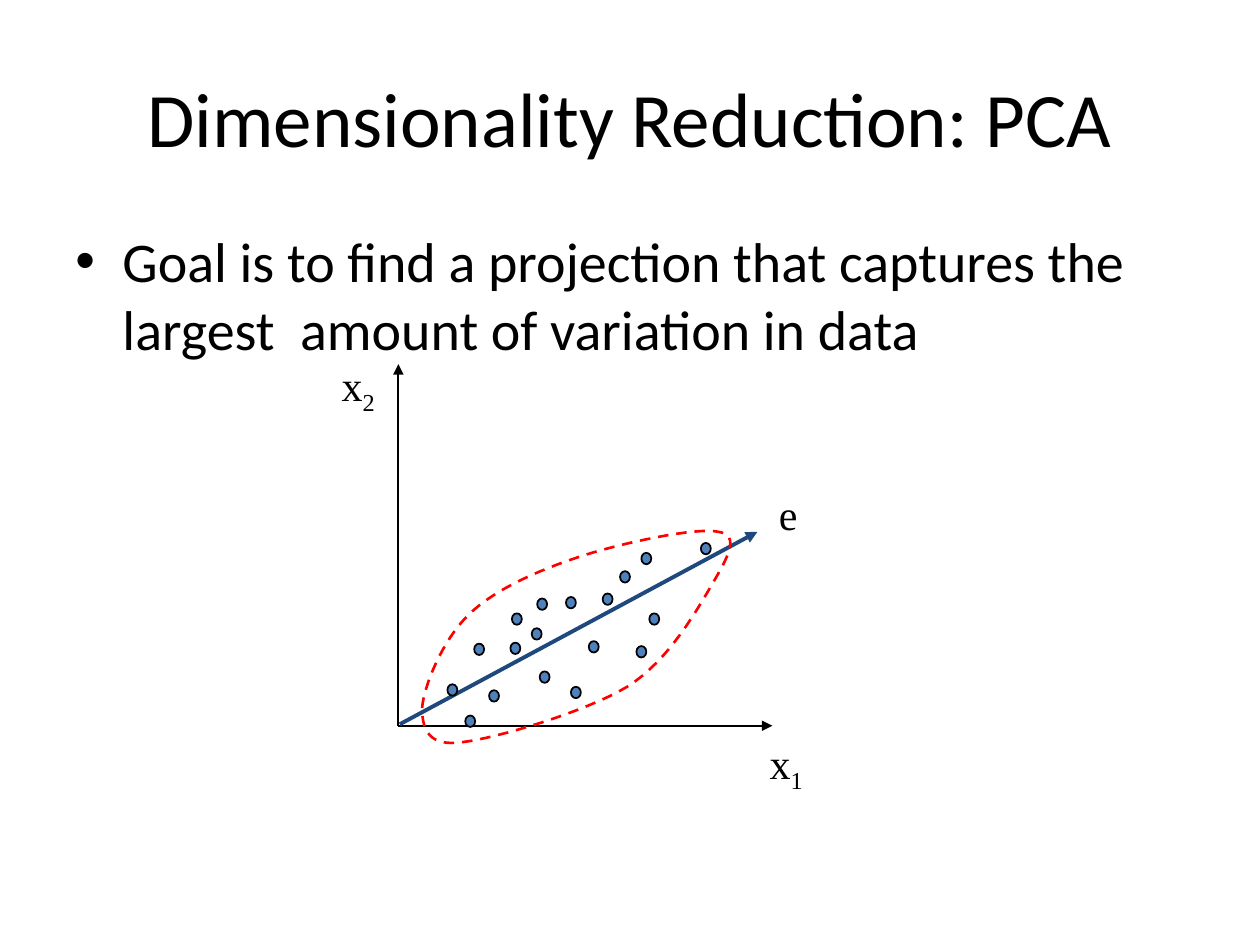
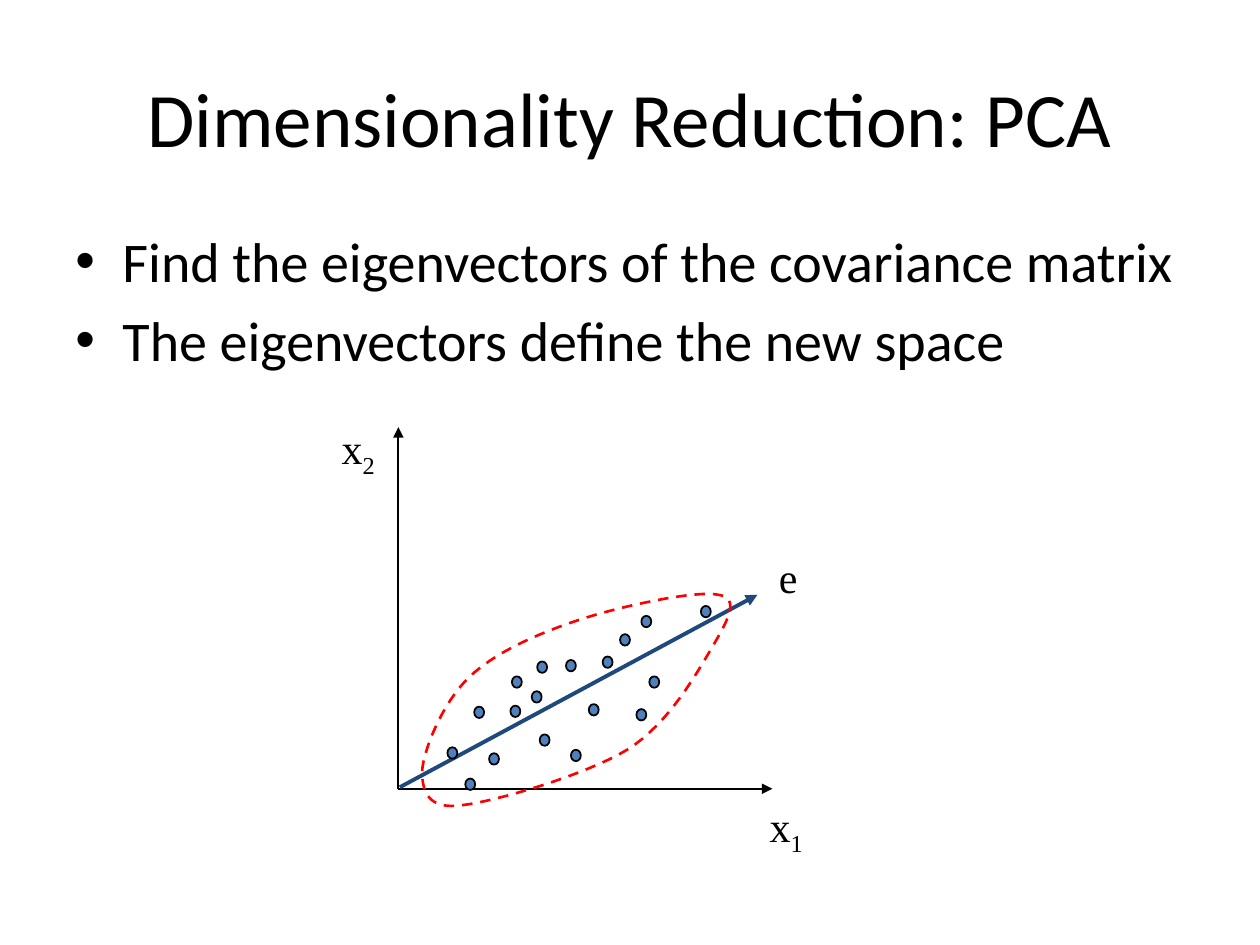
from lxml.etree import SubElement
from pptx import Presentation
from pptx.dml.color import RGBColor
from pptx.enum.dml import MSO_LINE_DASH_STYLE as Dash
from pptx.enum.shapes import MSO_CONNECTOR as Connector, MSO_SHAPE as Shape
from pptx.enum.text import MSO_ANCHOR as Anchor, PP_ALIGN as Align
from pptx.oxml.ns import qn
from pptx.util import Cm, Pt

TITLE = "Dimensionality Reduction: PCA"
SLIDES = [
    {"bullets": ["Goal is to find a projection that captures the largest  amount of variation in data"],
     "origin": (8.03, 14.63)},
    {"bullets": ["Find the eigenvectors of the covariance matrix",
                 "The eigenvectors define the new space"],
     "origin": (8.03, 15.9)},
]

BLACK, NAVY, BLUE, RED = "000000", "1F497D", "4F81BD", "FF0000"
HEADING_FONT, LABEL_FONT = "Calibri", "Times New Roman"

# Chart positions are centimetres right of and above the axis origin.
ARROWS = [
    ((0, 0), (0, 7.29), BLACK, 1),
    ((0, 0), (7.54, 0), BLACK, 1),
    ((0.03, 0.03), (7.24, 3.91), NAVY, 2.25),
]
POINTS = [
    (1.63, 1.54), (2.39, 2.15), (1.09, 0.72), (2.79, 1.85), (2.36, 1.56), (3.94, 1.59),
    (3.58, 0.67), (2.95, 0.98), (3.48, 2.48), (5.16, 2.15), (6.2, 3.57), (1.93, 0.6),
    (4.22, 2.55), (5, 3.37), (2.9, 2.45), (4.57, 3), (4.9, 1.49), (1.45, 0.09),
]
POINT_WIDTH, POINT_HEIGHT = 0.2, 0.23
CLOUD_START = (0.48, 0.36)
CLOUD_CURVES = [
    ((0.51, 0.79), (0.89, 1.73), (1.42, 2.24)),
    ((1.93, 2.74), (2.79, 3.12), (3.63, 3.4)),
    ((4.47, 3.68), (6.02, 4.01), (6.45, 3.91)),
    ((6.91, 3.84), (6.63, 3.38), (6.32, 2.84)),
    ((6.02, 2.34), (5.46, 1.32), (4.62, 0.79)),
    ((3.78, 0.28), (1.98, -0.25), (1.3, -0.33)),
    ((0.61, -0.43), (0.48, -0.08), CLOUD_START),
]
CURVE_STEPS = 16
LABELS = [
    ("x", "2", (-0.81, 6.81), 1.22),
    ("x", "1", (7.82, -0.81), 1.22),
    ("e", "", (7.86, 4.27), 0.89),
]
LABEL_HEIGHT = 1.27


def color(value):
    return RGBColor.from_string(value)


def set_line(shape, value, width):
    shape.line.color.rgb = color(value)
    shape.line.width = Pt(width)


def format_span(span, size, font):
    span.font.size = Pt(size)
    span.font.name = font
    span.font.color.rgb = color(BLACK)


def add_box(page, left, top, width, height, wrap=True):
    box = page.shapes.add_textbox(Cm(left), Cm(top), Cm(width), Cm(height))
    box.text_frame.word_wrap = wrap
    return box.text_frame


def add_title(page):
    frame = add_box(page, 1.27, 0.76, 22.86, 3.18)
    frame.vertical_anchor = Anchor.MIDDLE
    frame.text = TITLE
    para = frame.paragraphs[0]
    para.alignment = Align.CENTER
    format_span(para.runs[0], 44, HEADING_FONT)


def add_bullets(page, bullets):
    frame = add_box(page, 1.27, 4.45, 22.86, 12.57)
    frame.text = "\n".join(bullets)
    for para in frame.paragraphs:
        para.space_before = Pt(6.4)
        format_span(para.runs[0], 32, HEADING_FONT)
        properties = para._p.get_or_add_pPr()
        properties.set("marL", str(Cm(0.95)))
        properties.set("indent", str(-Cm(0.95)))
        SubElement(properties, qn("a:buFont"), typeface="Arial")
        SubElement(properties, qn("a:buChar"), char="•")


def add_arrow(page, start, end, value, width):
    arrow = page.shapes.add_connector(
        Connector.STRAIGHT, *[Cm(length) for length in (*start, *end)])
    set_line(arrow, value, width)
    SubElement(arrow.line._get_or_add_ln(), qn("a:tailEnd"), type="triangle")
    SubElement(arrow._element.spPr, qn("a:effectLst"))


def add_point(page, center):
    x, y = center
    point = page.shapes.add_shape(
        Shape.OVAL, Cm(x - POINT_WIDTH / 2), Cm(y - POINT_HEIGHT / 2),
        Cm(POINT_WIDTH), Cm(POINT_HEIGHT))
    point.shadow.inherit = False
    point.fill.solid()
    point.fill.fore_color.rgb = color(BLUE)
    set_line(point, BLACK, 1)


def curve_point(corners, t):
    weights = ((1 - t) ** 3, 3 * t * (1 - t) ** 2, 3 * t ** 2 * (1 - t), t ** 3)
    return tuple(sum(weight * length for weight, length in zip(weights, lengths))
                 for lengths in zip(*corners))


def cloud_outline():
    outline = [CLOUD_START]
    for curve in CLOUD_CURVES:
        corners = (outline[-1], *curve)
        outline += [curve_point(corners, step / CURVE_STEPS)
                    for step in range(1, CURVE_STEPS + 1)]
    return outline


def add_cloud(page, place):
    start, *others = [tuple(Cm(length) for length in place(spot)) for spot in cloud_outline()]
    builder = page.shapes.build_freeform(*start)
    builder.add_line_segments(others, close=True)
    cloud = builder.convert_to_shape()
    cloud.shadow.inherit = False
    cloud.fill.background()
    set_line(cloud, RED, 1.5)
    cloud.line.dash_style = Dash.DASH


def add_label(page, name, index, center, width):
    x, y = center
    frame = add_box(page, x - width / 2, y - LABEL_HEIGHT / 2, width, LABEL_HEIGHT, wrap=False)
    frame.vertical_anchor = Anchor.MIDDLE
    frame.text = name
    para = frame.paragraphs[0]
    para.alignment = Align.CENTER
    if index:
        span = para.add_run()
        span.text = index
        span.font._element.set("baseline", "-25000")
    for span in para.runs:
        format_span(span, 24, LABEL_FONT)


def add_scatter(page, origin):
    def place(spot):
        return origin[0] + spot[0], origin[1] - spot[1]

    for start, end, value, width in ARROWS:
        add_arrow(page, place(start), place(end), value, width)
    for center in POINTS:
        add_point(page, place(center))
    add_cloud(page, place)
    for name, index, center, width in LABELS:
        add_label(page, name, index, place(center), width)


def main():
    deck = Presentation()
    deck.slide_width, deck.slide_height = Cm(25.4), Cm(19.05)
    for content in SLIDES:
        page = deck.slides.add_slide(deck.slide_layouts[6])
        add_title(page)
        add_bullets(page, content["bullets"])
        add_scatter(page, content["origin"])
    deck.save("out.pptx")


if __name__ == "__main__":
    main()
